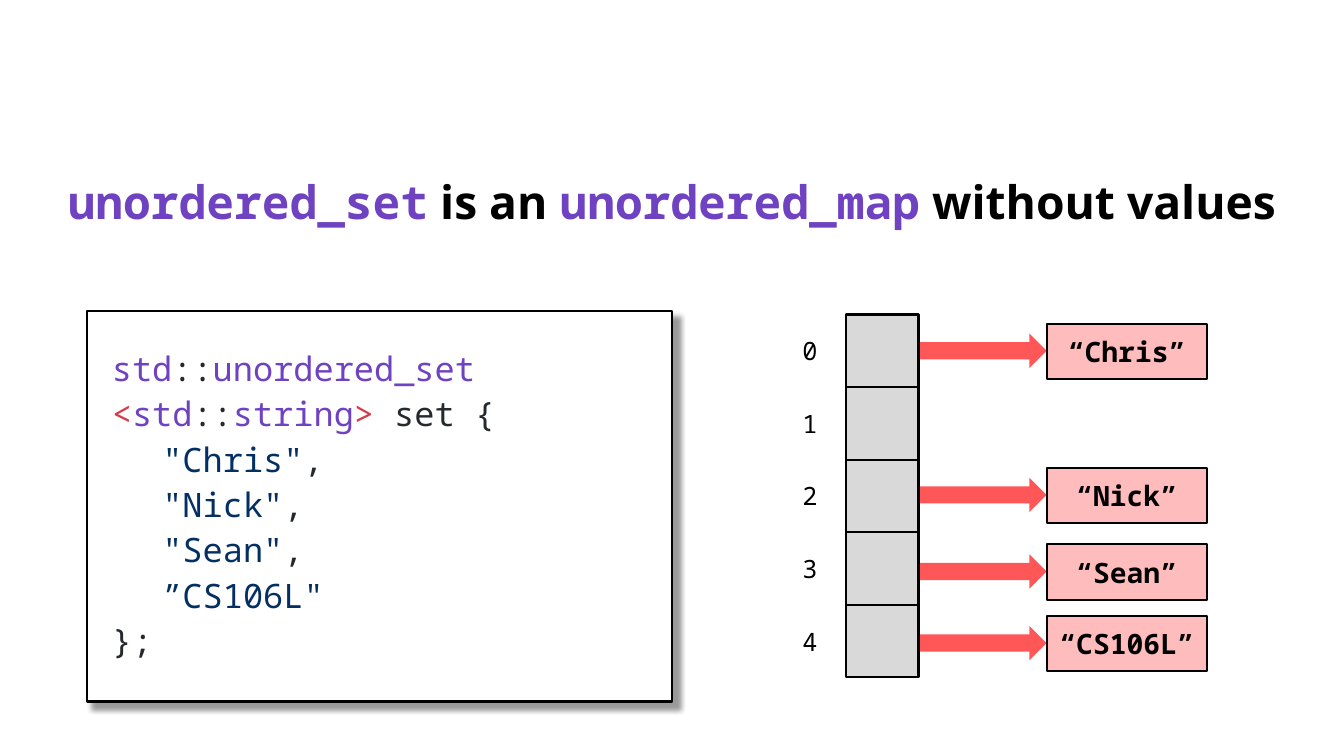
"""Build a slide showing unordered_set as a hash table without values."""
from lxml import etree
from pptx import Presentation
from pptx.dml.color import RGBColor
from pptx.enum.shapes import MSO_SHAPE as Shape
from pptx.enum.text import MSO_ANCHOR as Anchor, PP_ALIGN as Align
from pptx.oxml import parse_xml
from pptx.oxml.ns import nsdecls
from pptx.util import Inches, Pt

MONO, SANS = "Noto Sans Mono", "Open Sans"
BLACK, PURPLE, RED, NAVY, DARK = "000000", "6F42C1", "D73A49", "032F62", "24292E"


def color(code):
    return RGBColor.from_string(code)


def block(kind, left, top, width, height, fill, line=True):
    item = slide.shapes.add_shape(
        kind, Inches(left), Inches(top), Inches(width), Inches(height))
    item.shadow.inherit = False
    item.fill.solid()
    item.fill.fore_color.rgb = color(fill)
    if line:
        item.line.color.rgb = color(BLACK)
        item.line.width = Pt(1.5)
    else:
        item.line.fill.background()
    return item


deck = Presentation()
deck.slide_width, deck.slide_height = Inches(13.33), Inches(7.5)
slide = deck.slides.add_slide(deck.slide_layouts[6])

title = slide.shapes.add_textbox(
    Inches(0.43), Inches(1.2), Inches(12.47), Inches(1.66))
frame = title.text_frame
frame.word_wrap = True
frame.vertical_anchor = Anchor.MIDDLE
para = frame.paragraphs[0]
para.alignment = Align.CENTER
para.line_spacing = 0.9
para.font.size = Pt(33)
para.font.bold = True
for text, face, tint in [
    ("unordered_set", MONO, PURPLE), (" is an ", SANS, BLACK),
    ("unordered_map", MONO, PURPLE), (" without values", SANS, BLACK),
]:
    run = para.add_run()
    run.text = text
    run.font.name = face
    run.font.color.rgb = color(tint)

names = [("“Chris”", 3.21), ("“Nick”", 4.64), ("“Sean”", 5.4), ("“CS106L”", 6.11)]
for name, top in names:
    block(Shape.RIGHT_ARROW, 8.75, top + 0.1, 1.63, 0.34, "FF5757", False)

for index in range(5):
    step = 0.72 * index
    label = slide.shapes.add_textbox(
        Inches(7.86), Inches(3.28 + step), Inches(0.33), Inches(0.4))
    para = label.text_frame.paragraphs[0]
    para.text = str(index)
    para.font.name = MONO
    para.font.size = Pt(18)
    para.font.color.rgb = color(BLACK)
    block(Shape.RECTANGLE, 8.39, 3.12 + step, 0.72, 0.72, "D9D9D9")

for name, top in names:
    box = block(Shape.RECTANGLE, 10.38, top, 1.59, 0.55, "FFBCBC")
    box.text_frame.vertical_anchor = Anchor.MIDDLE
    para = box.text_frame.paragraphs[0]
    para.text = name
    para.alignment = Align.CENTER
    para.font.name = MONO
    para.font.size = Pt(20)
    para.font.bold = True
    para.font.color.rgb = color(BLACK)

panel = block(Shape.RECTANGLE, 0.86, 3.09, 5.81, 3.87, "FFFFFF")
glow = panel._element.spPr.find("{*}effectLst")
glow.append(parse_xml(
    f'<a:outerShdw {nsdecls("a")} blurRad="{Pt(4)}" dist="{Pt(6)}" dir="2700000"'
    ' algn="tl" rotWithShape="0"><a:srgbClr val="000000"><a:alpha val="40000"/>'
    '</a:srgbClr></a:outerShdw>'))
frame = panel.text_frame
frame.word_wrap = True
frame.vertical_anchor = Anchor.MIDDLE
frame.margin_left = frame.margin_right = Inches(0.25)
frame.margin_top = frame.margin_bottom = Inches(0.25)

code = [
    (0, [("std", PURPLE), ("::", DARK), ("unordered_set", PURPLE)]),
    (0, [("<", RED), ("std", PURPLE), ("::", DARK), ("string", PURPLE),
         (">", RED), (" set {", DARK)]),
    (0.5, [('"Chris"', NAVY), (",", DARK)]),
    (0.5, [('"Nick"', NAVY), (",", DARK)]),
    (0.5, [('"Sean"', NAVY), (",", DARK)]),
    (0.5, [('”CS106L"', NAVY)]),
    (0, [("};", DARK)]),
]
for row, (indent, parts) in enumerate(code):
    para = frame.add_paragraph() if row else frame.paragraphs[0]
    para._p.get_or_add_pPr().set("marL", str(Inches(indent)))
    para.alignment = Align.LEFT
    para.line_spacing = 0.9
    if row:
        para.space_before = Pt(6.5)
    para.font.name = MONO
    para.font.size = Pt(24)
    for text, tint in parts:
        run = para.add_run()
        run.text = text
        run.font.color.rgb = color(tint)

deck.save("out.pptx")
